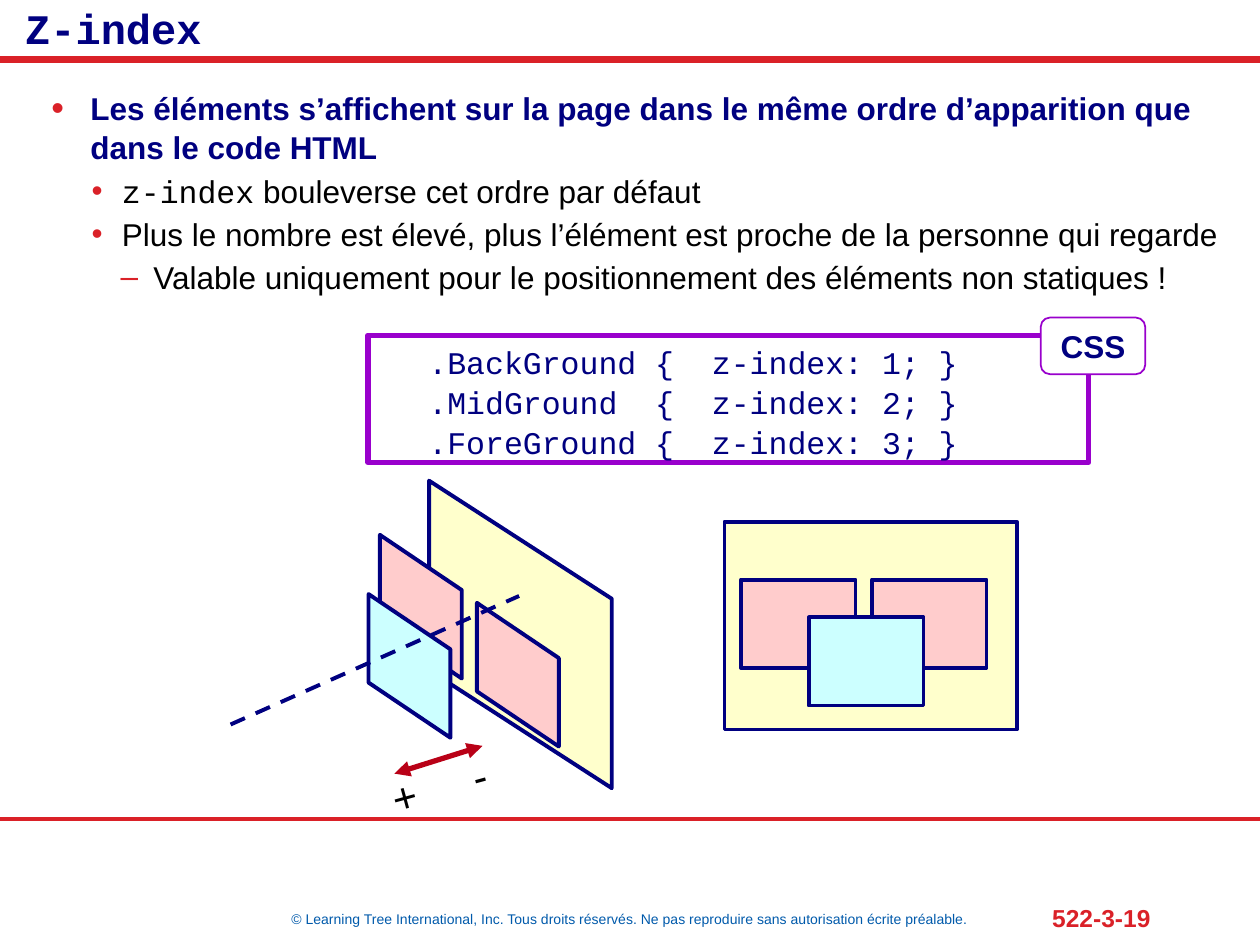
from lxml.etree import SubElement
from pptx import Presentation
from pptx.dml.color import RGBColor
from pptx.enum.dml import MSO_LINE
from pptx.enum.shapes import MSO_CONNECTOR, MSO_SHAPE
from pptx.enum.text import MSO_ANCHOR, PP_ALIGN
from pptx.oxml.ns import qn
from pptx.util import Inches, Pt

NAVY = RGBColor(0x00, 0x00, 0x80)
BLACK = RGBColor(0x00, 0x00, 0x00)
WHITE = RGBColor(0xFF, 0xFF, 0xFF)
RED = RGBColor(0xDA, 0x21, 0x28)
DARK_RED = RGBColor(0xB9, 0x01, 0x17)
BLUE = RGBColor(0x00, 0x5A, 0xAB)
PURPLE = RGBColor(0x99, 0x00, 0xCC)
YELLOW = RGBColor(0xFF, 0xFF, 0xCC)
PINK = RGBColor(0xFF, 0xCC, 0xCC)
CYAN = RGBColor(0xCC, 0xFF, 0xFF)
SANS, MONO = "Arial", "Courier New"
WIDTH, HEIGHT = 10, 7.5
LEADING = 1.05

# Content
TITLE = "Z-index"
COPYRIGHT = ("© Learning Tree International, Inc. Tous droits réservés. "
             "Ne pas reproduire sans autorisation écrite préalable.")
PAGE = "522-3-19"
# Level and runs (text, font)
BULLETS = [
    (0, [("Les éléments s’affichent sur la page dans le même ordre "
          "d’apparition que dans le code HTML", SANS)]),
    (1, [("z-index", MONO), (" bouleverse cet ordre par défaut", SANS)]),
    (1, [("Plus le nombre est élevé, plus l’élément est proche de la "
          "personne qui regarde", SANS)]),
    (2, [("Valable uniquement pour le positionnement des éléments non "
          "statiques !", SANS)]),
]
# Per level: left margin, hanging indent, space before, mark, mark size %, colour, bold
LEVELS = [(0.31, 0.31, 14, "•", 115, NAVY, True),
          (0.56, 0.24, 2, "•", 100, BLACK, False),
          (0.81, 0.26, 2, "–", 100, BLACK, False)]
RULES = [(".BackGround", 1), (".MidGround", 2), (".ForeGround", 3)]

# Layers: left, top, fill; each group shares one size
SIDE_BACK, SIDE_SIZE = (2.91, 4.31, YELLOW), (1.14, 0.65)
SIDE_LAYERS = [(2.77, 4.49, PINK), (2.68, 4.96, CYAN), (3.54, 5.03, PINK)]
FRONT_BACK, FRONT_SIZE = (5.75, 4.14, YELLOW), (0.91, 0.7)
FRONT_LAYERS = [(5.88, 4.6, PINK), (6.92, 4.6, PINK), (6.42, 4.9, CYAN)]

deck = Presentation()
deck.slide_width, deck.slide_height = Inches(WIDTH), Inches(HEIGHT)
slide = deck.slides.add_slide(deck.slide_layouts[6])


def add_run(paragraph, text, size, color, font=SANS, bold=False):
    run = paragraph.add_run()
    run.text = text
    run.font.size, run.font.name, run.font.bold = Pt(size), font, bold
    run.font.color.rgb = color


def set_frame(shape, insets=(0.1, 0.05, 0.1, 0.05), anchor=MSO_ANCHOR.TOP):
    frame = shape.text_frame
    frame.word_wrap = True
    frame.vertical_anchor = anchor
    (frame.margin_left, frame.margin_top,
     frame.margin_right, frame.margin_bottom) = map(Inches, insets)
    return frame


def add_text(left, top, width, height, **frame_options):
    box = slide.shapes.add_textbox(*map(Inches, (left, top, width, height)))
    return box, set_frame(box, **frame_options)


def add_panel(kind, left, top, width, height, fill, color=NAVY, weight=2.25):
    panel = slide.shapes.add_shape(kind, *map(Inches, (left, top, width, height)))
    panel.shadow.inherit = False
    panel.fill.solid()
    panel.fill.fore_color.rgb = fill
    panel.line.color.rgb = color
    panel.line.width = Pt(weight)
    return panel


def add_line(x1, y1, x2, y2, color, weight, dash=None, arrows=False):
    line = slide.shapes.add_connector(
        MSO_CONNECTOR.STRAIGHT, *map(Inches, (x1, y1, x2, y2)))
    line.line.color.rgb = color
    line.line.width = Pt(weight)
    if dash:
        line.line.dash_style = dash
    if arrows:
        for end in ("a:headEnd", "a:tailEnd"):
            SubElement(line.line._get_or_add_ln(), qn(end), type="triangle")
    SubElement(line._element.spPr, qn("a:effectLst"))


def add_tabs(paragraph, *stops):
    tabs = SubElement(paragraph._p.get_or_add_pPr(), qn("a:tabLst"))
    for stop in stops:
        SubElement(tabs, qn("a:tab"), pos=str(Inches(stop)), algn="l")


def add_bullet(paragraph, margin, hang, mark, percent):
    props = paragraph._p.get_or_add_pPr()
    props.set("marL", str(Inches(margin)))
    props.set("indent", str(-Inches(hang)))
    SubElement(SubElement(props, qn("a:buClr")), qn("a:srgbClr"), val=str(RED))
    SubElement(props, qn("a:buSzPct"), val=str(percent * 1000))
    SubElement(props, qn("a:buFont"), typeface=SANS)
    SubElement(props, qn("a:buChar"), char=mark)


def next_paragraph(frame, index):
    return frame.add_paragraph() if index else frame.paragraphs[0]


# Footer and rules across the slide
_, footer = add_text(0, 7.18, WIDTH, 0.23)
footer.paragraphs[0].alignment = PP_ALIGN.CENTER
add_run(footer.paragraphs[0], COPYRIGHT, 8, BLUE)
_, page = add_text(7.85, 7.11, 1.38, 0.34, insets=(0, 0.05, 0.1, 0.05),
                   anchor=MSO_ANCHOR.MIDDLE)
page.paragraphs[0].alignment = PP_ALIGN.RIGHT
add_run(page.paragraphs[0], PAGE, 14, RED, bold=True)
for y, weight in [(0.47, 4), (6.5, 2)]:
    add_line(0, y, WIDTH, y, RED, weight)

# Bullets and title
_, body = add_text(0.31, 0.64, 9.69, 1.7)
for index, (level, runs) in enumerate(BULLETS):
    margin, hang, before, mark, percent, color, bold = LEVELS[level]
    paragraph = next_paragraph(body, index)
    paragraph.level = level
    paragraph.line_spacing = LEADING
    paragraph.space_before = Pt(before if index else 0)
    add_bullet(paragraph, margin, hang, mark, percent)
    for text, font in runs:
        add_run(paragraph, text, 18, color, font, bold)
_, title = add_text(0, 0, WIDTH, 0.44, insets=(0.2, 0, 0.1, 0),
                    anchor=MSO_ANCHOR.MIDDLE)
add_run(title.paragraphs[0], TITLE, 24, NAVY, MONO, True)

# Layers seen from the side
for (left, top, fill), size, slant in (
        [(SIDE_BACK, (2.44, 1.45), 0.646)]
        + [(layer, SIDE_SIZE, 0.674) for layer in SIDE_LAYERS]):
    layer = add_panel(MSO_SHAPE.PARALLELOGRAM, left, top, *size, fill)
    layer.adjustments[0] = slant
    layer.rotation = 270

# Layers seen from the front
add_panel(MSO_SHAPE.RECTANGLE, *FRONT_BACK[:2], 2.32, 1.65, FRONT_BACK[2])
for left, top, fill in FRONT_LAYERS:
    add_panel(MSO_SHAPE.RECTANGLE, left, top, *FRONT_SIZE, fill)

# Line of sight and depth axis
add_line(1.83, 5.75, 4.12, 4.73, NAVY, 2.25, dash=MSO_LINE.DASH)
signs_box, signs = add_text(2.23, 5.99, 2.51, 0.5, insets=(0.87, 0.05, 0.1, 0.05))
signs_box.rotation = 344.6
add_tabs(signs.paragraphs[0], 0.66)
add_run(signs.paragraphs[0], "+\t-", 24, BLACK)
add_line(3.13, 6.14, 3.83, 5.92, DARK_RED, 3, arrows=True)

# Code box with its label
code_box = add_panel(MSO_SHAPE.RECTANGLE, 2.92, 2.66, 5.72, 1.01, WHITE, PURPLE, 3)
code = set_frame(code_box, insets=(0.48, 0.05, 0.1, 0.05))
for index, (selector, depth) in enumerate(RULES):
    paragraph = next_paragraph(code, index)
    paragraph.alignment = PP_ALIGN.LEFT
    paragraph.line_spacing = LEADING
    add_tabs(paragraph, 1.8, 2.25)
    add_run(paragraph, f"{selector}\t{{\tz-index: {depth}; }}", 18, NAVY, MONO)
label_box = add_panel(MSO_SHAPE.ROUNDED_RECTANGLE, 8.26, 2.52, 0.83, 0.45,
                      WHITE, PURPLE, 1)
label = set_frame(label_box, anchor=MSO_ANCHOR.MIDDLE)
label.paragraphs[0].alignment = PP_ALIGN.CENTER
add_run(label.paragraphs[0], "CSS", 18, NAVY, bold=True)

deck.save("out.pptx")
